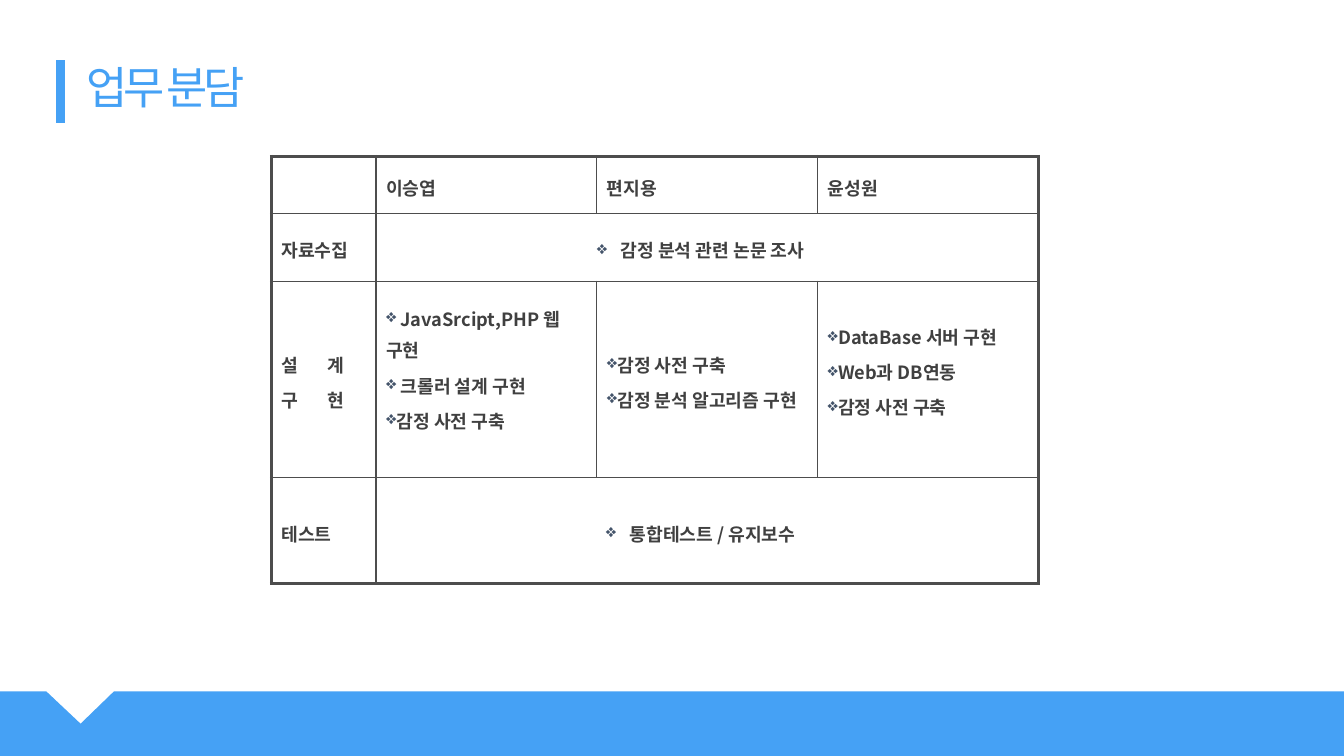
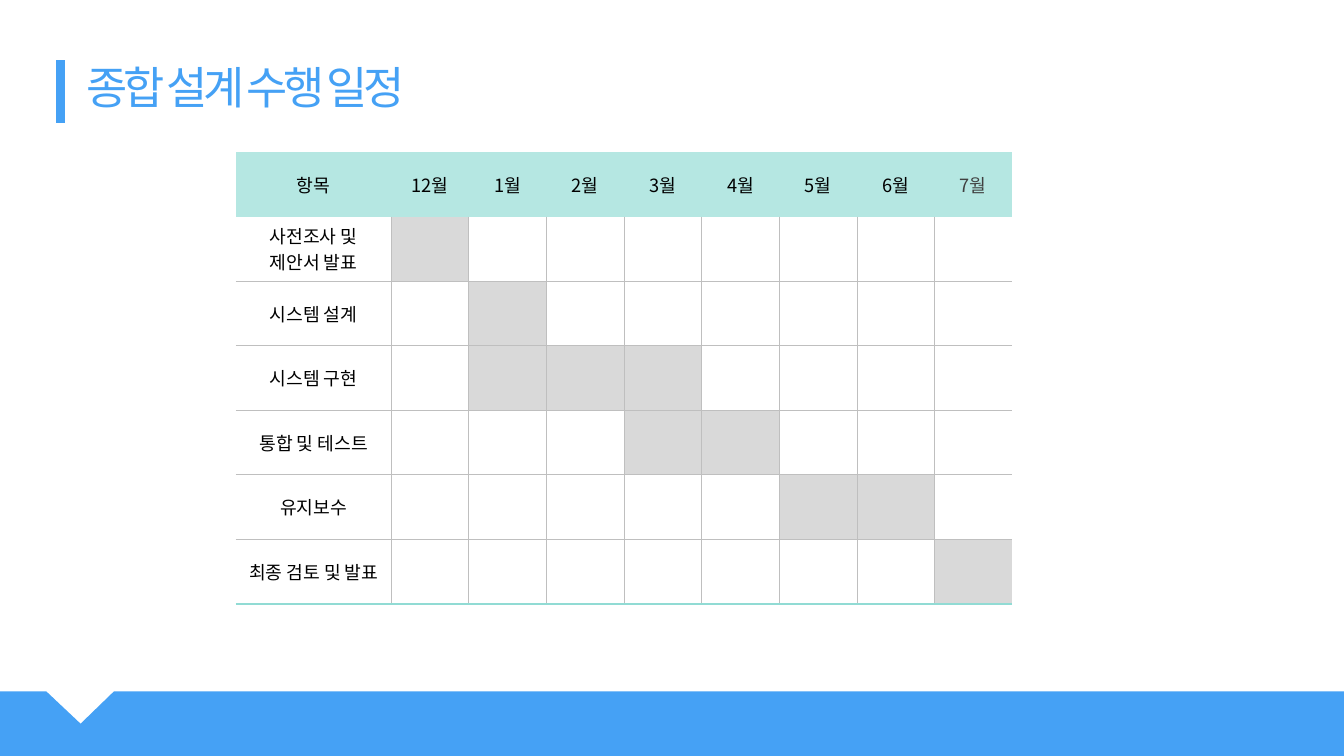
"""Build two slides: a task assignment table and a project schedule."""
from dataclasses import dataclass

from lxml import etree
from pptx import Presentation
from pptx.dml.color import RGBColor
from pptx.enum import shapes, text
from pptx.oxml import ns
from pptx.util import Inches, Pt


@dataclass(frozen=True)
class Theme:
    font: str = "Noto Sans CJK KR"
    blue: str = "45A1F5"
    ink: str = "404040"
    black: str = "000000"
    white: str = "FFFFFF"
    bullet: str = "44546A"
    rule: str = "4D4D4D"
    grid: str = "BFBFBF"
    header: str = "B5E7E2"
    closing: str = "91DBD4"
    busy: str = "D9D9D9"
    title_size: float = 32
    body_size: float = 13


THEME = Theme()
CENTER, LEFT = text.PP_ALIGN.CENTER, text.PP_ALIGN.LEFT

BAND = [(0, 6.86), (0.46, 6.86), (0.8, 7.18), (1.13, 6.86),
        (13.33, 6.86), (13.33, 7.5), (0, 7.5)]

TASK_TITLE = "업무 분담"
MEMBERS = ["이승엽", "편지용", "윤성원"]
TASKS = [
    (["자료수집"], [["감정 분석 관련 논문 조사"]]),
    (["설 계", "구 현"], [
        [" JavaSrcipt,PHP 웹 구현", " 크롤러 설계 구현", "감정 사전 구축"],
        ["감정 사전 구축", "감정 분석 알고리즘 구현"],
        ["DataBase 서버 구현", "Web과 DB연동", "감정 사전 구축"],
    ]),
    (["테스트"], [["통합테스트 / 유지보수"]]),
]
TASK_COLUMNS = [1.04] + [2.19] * 3
TASK_ROWS = [0.57, 0.67, 1.95, 1.05]
BOTTOM_MARGINS = {(2, 1): 0.3, (2, 3): 0.25}

SCHEDULE_TITLE = "종합 설계 수행 일정"
MONTHS = ["12월", "1월", "2월", "3월", "4월", "5월", "6월", "7월"]
SCHEDULE = [
    ("사전조사 및 제안서 발표", ["12월"]),
    ("시스템 설계", ["1월"]),
    ("시스템 구현", ["1월", "2월", "3월"]),
    ("통합 및 테스트", ["3월", "4월"]),
    ("유지보수", ["5월", "6월"]),
    ("최종 검토 및 발표", ["7월"]),
]
SCHEDULE_COLUMNS = [1.54] + [0.77] * len(MONTHS)
SCHEDULE_ROWS = [0.64] * (len(SCHEDULE) + 1)


def rgb(color):
    return RGBColor.from_string(color)


def add_node(parent, tag, **attributes):
    return etree.SubElement(parent, ns.qn(tag), attributes)


def write_text(frame, lines, size=THEME.body_size, color=THEME.ink, bold=False,
               align=LEFT, line_spacing=1.0, before=0, spacing=0, bullet=False):
    for index, line in enumerate(lines):
        paragraph = frame.add_paragraph() if index else frame.paragraphs[0]
        paragraph.alignment = align
        paragraph.line_spacing = line_spacing
        paragraph.space_before = Pt(before)
        if bullet:
            properties = paragraph._p.get_or_add_pPr()
            add_node(add_node(properties, "a:buClr"), "a:srgbClr", val=THEME.bullet)
            add_node(properties, "a:buChar", char="❖")
        run = paragraph.add_run()
        run.text = line
        run.font.size, run.font.bold = Pt(size), bold
        run.font.color.rgb = rgb(color)
        run.font.name = THEME.font
        properties = run._r.get_or_add_rPr()
        add_node(properties, "a:ea", typeface=THEME.font)
        if spacing:
            properties.set("spc", str(int(spacing * 100)))


def set_borders(cell, **edges):
    properties = cell._tc.get_or_add_tcPr()
    for side in "LRTB":
        edge = edges.get(side)
        width = Pt(edge[1]) if edge else 0
        line = add_node(properties, f"a:ln{side}", w=str(width))
        if edge:
            add_node(add_node(line, "a:solidFill"), "a:srgbClr", val=edge[0])
        else:
            add_node(line, "a:noFill")


def set_fill(cell, color):
    cell.fill.solid()
    cell.fill.fore_color.rgb = rgb(color)


def add_slide(presentation, title):
    slide = presentation.slides.add_slide(presentation.slide_layouts[5])
    points = [(Inches(x), Inches(y)) for x, y in BAND]
    builder = slide.shapes.build_freeform(*points[0], scale=1.0)
    builder.add_line_segments(points[1:], close=True)
    band = builder.convert_to_shape()
    band.shadow.inherit = False
    band.fill.solid()
    band.fill.fore_color.rgb = rgb(THEME.blue)
    band.line.fill.background()

    bar = slide.shapes.add_connector(shapes.MSO_CONNECTOR.STRAIGHT, Inches(0.6),
                                     Inches(0.6), Inches(0.6), Inches(1.22))
    bar.line.color.rgb = rgb(THEME.blue)
    bar.line.width = Pt(6)
    add_node(bar._element.spPr, "a:effectLst")

    heading = slide.shapes.title
    heading.left, heading.top = Inches(0.76), Inches(0.68)
    heading.width, heading.height = Inches(5.59), Inches(0.45)
    frame = heading.text_frame
    frame.margin_top = frame.margin_bottom = 0
    frame.vertical_anchor = text.MSO_ANCHOR.MIDDLE
    frame.auto_size = text.MSO_AUTO_SIZE.NONE
    frame.word_wrap = True
    write_text(frame, [title], size=THEME.title_size, color=THEME.blue,
               line_spacing=0.8, spacing=-3)
    return slide


def add_table(slide, left, top, columns, rows):
    table = slide.shapes.add_table(
        len(rows), len(columns), Inches(left), Inches(top),
        Inches(sum(columns)), Inches(sum(rows))).table
    table.first_row = table.horz_banding = False
    for column, width in zip(table.columns, columns):
        column.width = Inches(width)
    for row, height in zip(table.rows, rows):
        row.height = Inches(height)
    for cell in table.iter_cells():
        cell.vertical_anchor = text.MSO_ANCHOR.MIDDLE
    return table


def write_task(cell, lines, **options):
    write_text(cell.text_frame, lines, bold=True, line_spacing=1.2, before=2.6,
               **options)


def add_task_slide(presentation):
    slide = add_slide(presentation, TASK_TITLE)
    table = add_table(slide, 2.69, 1.55, TASK_COLUMNS, TASK_ROWS)
    for column, member in enumerate(MEMBERS, 1):
        write_task(table.cell(0, column), [member])
    for row, (stage, duties) in enumerate(TASKS, 1):
        write_task(table.cell(row, 0), stage, spacing=9 if len(stage) > 1 else 0)
        shared = len(duties) == 1
        if shared:
            table.cell(row, 1).merge(table.cell(row, len(MEMBERS)))
        for column, lines in enumerate(duties, 1):
            write_task(table.cell(row, column), lines, bullet=True,
                       align=CENTER if shared else LEFT)
    for (row, column), margin in BOTTOM_MARGINS.items():
        table.cell(row, column).margin_bottom = Inches(margin)

    thin, thick = (THEME.rule, 1), (THEME.rule, 2.25)
    last_row, last_column = len(TASK_ROWS) - 1, len(TASK_COLUMNS) - 1
    for row in range(last_row + 1):
        for column in range(last_column + 1):
            cell = table.cell(row, column)
            end = column + cell.span_width - 1 if cell.is_merge_origin else column
            set_borders(cell,
                        L=thin if column else thick,
                        T=thin if row else thick,
                        R=thick if end == last_column else thin,
                        B=thick if row == last_row else thin)
            set_fill(cell, THEME.white)


def add_schedule_slide(presentation):
    slide = add_slide(presentation, SCHEDULE_TITLE)
    table = add_table(slide, 2.34, 1.51, SCHEDULE_COLUMNS, SCHEDULE_ROWS)
    for column, label in enumerate(["항목"] + MONTHS):
        cell = table.cell(0, column)
        write_text(cell.text_frame, [label], align=CENTER,
                   color=THEME.ink if label == MONTHS[-1] else THEME.black)
        set_borders(cell)
        set_fill(cell, THEME.header)

    line = (THEME.grid, 0.5)
    for row, (item, active) in enumerate(SCHEDULE, 1):
        write_text(table.cell(row, 0).text_frame, [item], align=CENTER,
                   color=THEME.black)
        for column, month in enumerate([None] + MONTHS):
            cell = table.cell(row, column)
            set_borders(cell,
                        L=line if column else None,
                        T=line if row > 1 else None,
                        R=line if column < len(MONTHS) else None,
                        B=(THEME.closing, 1.5) if row == len(SCHEDULE) else line)
            set_fill(cell, THEME.busy if month in active else THEME.white)


def main():
    presentation = Presentation()
    presentation.slide_width, presentation.slide_height = Inches(13.33), Inches(7.5)
    add_task_slide(presentation)
    add_schedule_slide(presentation)
    presentation.save("out.pptx")


if __name__ == "__main__":
    main()
